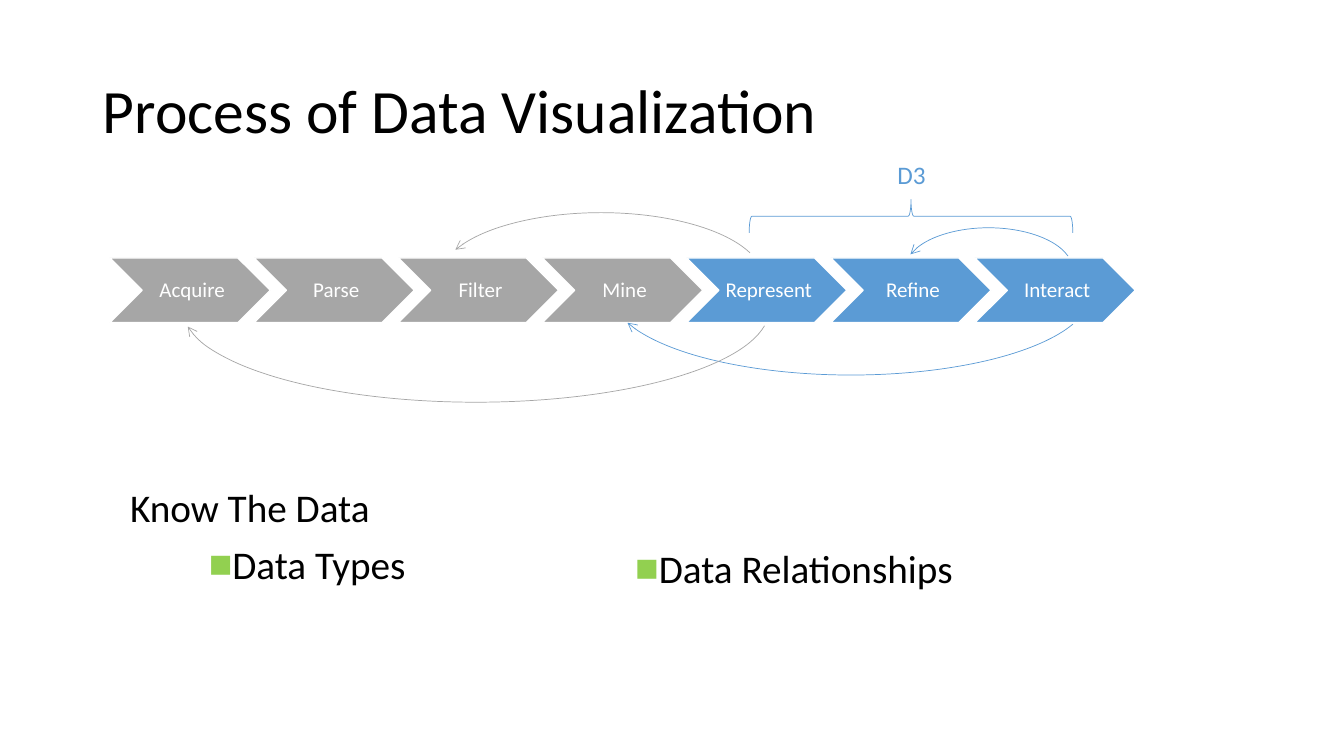
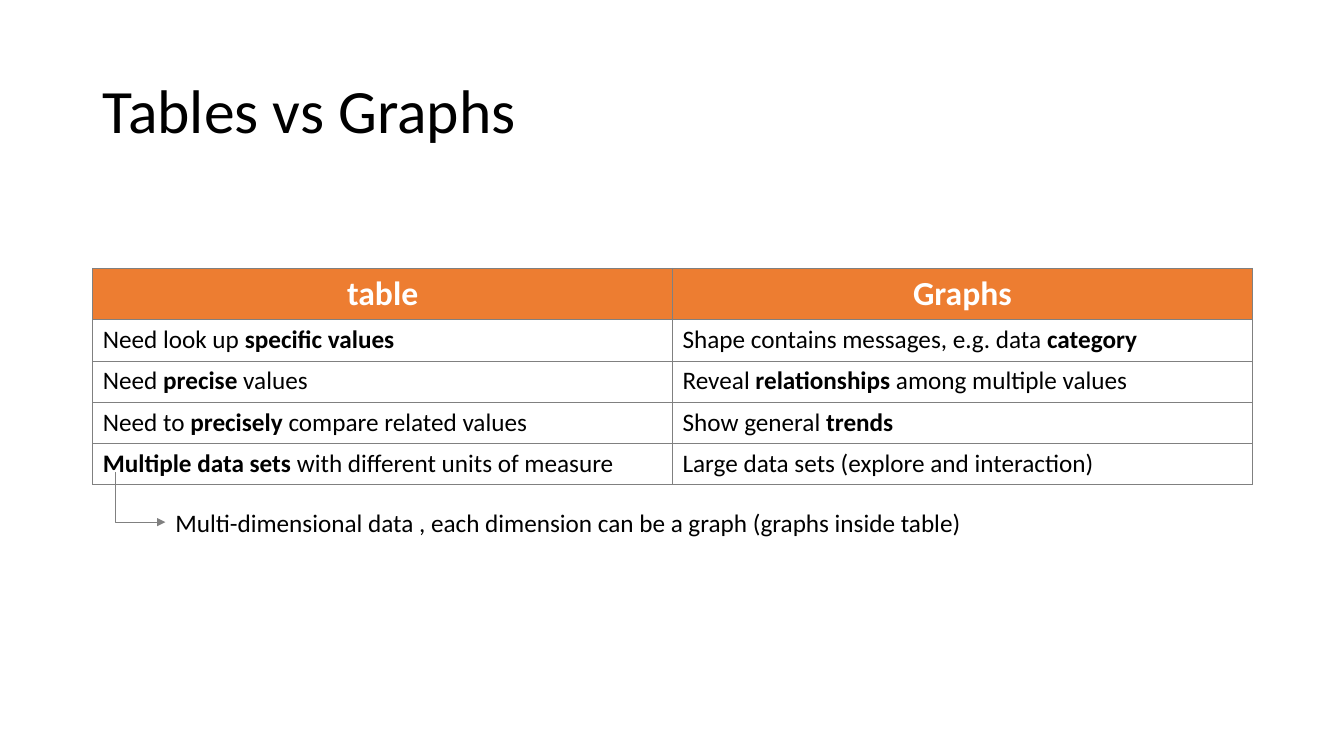
"""Build two slides on the data visualization process and on tables versus graphs."""
from lxml.etree import SubElement
from pptx import Presentation
from pptx.dml.color import RGBColor
from pptx.enum.shapes import MSO_CONNECTOR, MSO_SHAPE
from pptx.enum.text import MSO_ANCHOR, MSO_AUTO_SIZE, PP_ALIGN
from pptx.oxml.ns import qn
from pptx.util import Inches, Pt

FONT = "Calibri"
BLACK = RGBColor(0x00, 0x00, 0x00)
WHITE = RGBColor(0xFF, 0xFF, 0xFF)
GRAY = RGBColor(0xA6, 0xA6, 0xA6)
RULE = RGBColor(0x80, 0x80, 0x80)
BLUE = RGBColor(0x5B, 0x9B, 0xD5)
GREEN = RGBColor(0x92, 0xD0, 0x50)
ORANGE = RGBColor(0xED, 0x7D, 0x31)

STEPS = [("Acquire", GRAY), ("Parse", GRAY), ("Filter", GRAY), ("Mine", GRAY),
         ("Represent", BLUE), ("Refine", BLUE), ("Interact", BLUE)]
ARCS = [
    ((4.35, 2.11, 3.22, 1.32), 0, (114.86, 209.98), "headEnd", GRAY),
    ((8.97, 2.26, 1.67, 0.84), 0, (114.86, 209.98), "headEnd", BLUE),
    ((6.06, 2.09, 4.76, 1.63), 180, (112.83, 211.43), "tailEnd", BLUE),
    ((1.81, 2.14, 5.82, 1.85), 180, (110, 213.9), "tailEnd", GRAY),
]
LISTS = [
    ((1.19, 4.8, 9.21, 2.31), [("Know The Data", False), ("Data Types", True)]),
    ((5.42, 5.4, 5.22, 1.71), [("Data Relationships", True)]),
]
HEADS = ["*table*", "*Graphs*"]
ROWS = [
    ("Need look up *specific values*", "Shape contains messages, e.g. data *category*"),
    ("Need *precise* values", "Reveal *relationships* among multiple values"),
    ("Need to *precisely* compare related values", "Show general *trends*"),
    ("*Multiple data sets *with different units of measure",
     "Large data sets (explore and interaction)"),
]
NOTE = "Multi-dimensional data , each dimension can be a graph (graphs inside table)"


def box(*sizes):
    return [Inches(size) for size in sizes]


def place(shape, sizes):
    shape.left, shape.top, shape.width, shape.height = box(*sizes)


def write(para, text, size, color=BLACK, align=PP_ALIGN.LEFT):
    """Write text into a paragraph; parts between asterisks are bold."""
    para.alignment = align
    for index, part in enumerate(text.split("*")):
        if part:
            run = para.add_run()
            run.text = part
            run.font.name, run.font.size = FONT, Pt(size)
            run.font.bold = index % 2 == 1
            run.font.color.rgb = color


def stroke(shape, color, width=0.5):
    shape.line.color.rgb = color
    shape.line.width = Pt(width)


def tip(shape, end, kind):
    SubElement(shape.line._get_or_add_ln(), qn(f"a:{end}"), type=kind)


def outline(slide, kind, sizes, color, turn=0):
    shape = slide.shapes.add_shape(kind, *box(*sizes))
    shape.shadow.inherit = False
    shape.fill.background()
    shape.rotation = turn
    stroke(shape, color)
    return shape


def label(slide, sizes, text, color=BLACK, align=PP_ALIGN.LEFT):
    frame = slide.shapes.add_textbox(*box(*sizes)).text_frame
    frame.word_wrap = True
    write(frame.paragraphs[0], text, 18, color, align)


def start(deck, layout, title):
    slide = deck.slides.add_slide(deck.slide_layouts.get_by_name(layout))
    place(slide.shapes.title, (0.92, 0.4, 11.5, 1.45))
    frame = slide.shapes.title.text_frame
    frame.auto_size = MSO_AUTO_SIZE.NONE
    frame.vertical_anchor = MSO_ANCHOR.MIDDLE
    frame.paragraphs[0].line_spacing = 0.9
    write(frame.paragraphs[0], title, 44)
    return slide


def fill_list(holder, sizes, items):
    place(holder, sizes)
    frame = holder.text_frame
    frame.auto_size = MSO_AUTO_SIZE.NONE
    for index, (text, marked) in enumerate(items):
        para = frame.add_paragraph() if index else frame.paragraphs[0]
        para.line_spacing, para.space_before = 0.9, Pt(10)
        write(para, text, 28)
        props = para._p.get_or_add_pPr()
        inset = str(Inches(0.39 if marked else 0))
        props.set("marL", inset)
        props.set("indent", inset)
        if marked:
            tint = SubElement(props, qn("a:buClr"))
            SubElement(tint, qn("a:srgbClr"), val=str(GREEN))
            SubElement(props, qn("a:buChar"), char="■")
        else:
            SubElement(props, qn("a:buNone"))


def add_step(slide, index, text, color):
    sizes = (1.09 + 1.43 * index, 2.56, 1.59, 0.64)
    step = outline(slide, MSO_SHAPE.CHEVRON, sizes, WHITE)
    step.line.width = Pt(1)
    step.fill.solid()
    step.fill.fore_color.rgb = color
    frame = step.text_frame
    frame.margin_left, frame.margin_right = box(0.04, 0)
    frame.margin_top = frame.margin_bottom = Inches(0.02)
    frame.vertical_anchor = MSO_ANCHOR.MIDDLE
    frame.paragraphs[0].line_spacing = 0.9
    write(frame.paragraphs[0], text, 15, WHITE, PP_ALIGN.CENTER)


def add_process(deck):
    slide = start(deck, "Two Content", "Process of Data Visualization")
    for holder, (sizes, items) in zip(list(slide.placeholders)[1:], LISTS):
        fill_list(holder, sizes, items)
    for index, (text, color) in enumerate(STEPS):
        add_step(slide, index, text, color)
    outline(slide, MSO_SHAPE.LEFT_BRACE, (8.87, 0.54, 0.33, 3.21), BLUE, 90)
    label(slide, (8.74, 1.53, 0.6, 0.4), "D3", BLUE, PP_ALIGN.CENTER)
    for sizes, turn, angles, end, color in ARCS:
        arc = outline(slide, MSO_SHAPE.ARC, sizes, color, turn)
        arc.adjustments[0], arc.adjustments[1] = angles
        tip(arc, end, "arrow")


def edge(cell):
    props = cell._tc.get_or_add_tcPr()
    for index, side in enumerate(("lnL", "lnR", "lnT", "lnB")):
        line = props.makeelement(qn(f"a:{side}"), {"w": str(Pt(0.5))})
        props.insert(index, line)
        fill = SubElement(line, qn("a:solidFill"))
        SubElement(fill, qn("a:srgbClr"), val=str(RULE))


def add_grid(slide):
    lines = [HEADS, *ROWS]
    frame = slide.shapes.add_table(len(lines), 2, *box(0.92, 2.66, 11.5, 2.15))
    table = frame.table
    table.first_row = table.horz_banding = False
    for row, texts in enumerate(lines):
        head = row == 0
        table.rows[row].height = Inches(0.51 if head else 0.41)
        for cell, text in zip(table.rows[row].cells, texts):
            para = cell.text_frame.paragraphs[0]
            if head:
                cell.fill.solid()
                cell.fill.fore_color.rgb = ORANGE
                write(para, text, 24, WHITE, PP_ALIGN.CENTER)
            else:
                cell.fill.background()
                write(para, text, 18)
            edge(cell)


def add_compare(deck):
    slide = start(deck, "Title Only", "Tables vs Graphs")
    add_grid(slide)
    link = slide.shapes.add_connector(MSO_CONNECTOR.ELBOW, *box(1.15, 4.69, 1.64, 5.18))
    stroke(link, RULE)
    tip(link, "tailEnd", "triangle")
    props = link._element.spPr
    SubElement(props, qn("a:effectLst"))
    bend = props.find(qn("a:prstGeom")).find(qn("a:avLst"))
    SubElement(bend, qn("a:gd"), name="adj1", fmla="val -1200")
    label(slide, (1.64, 4.98, 8.09, 0.4), NOTE)


def main():
    deck = Presentation()
    deck.slide_width, deck.slide_height = box(13.33, 7.5)
    add_process(deck)
    add_compare(deck)
    deck.save("out.pptx")


if __name__ == "__main__":
    main()
